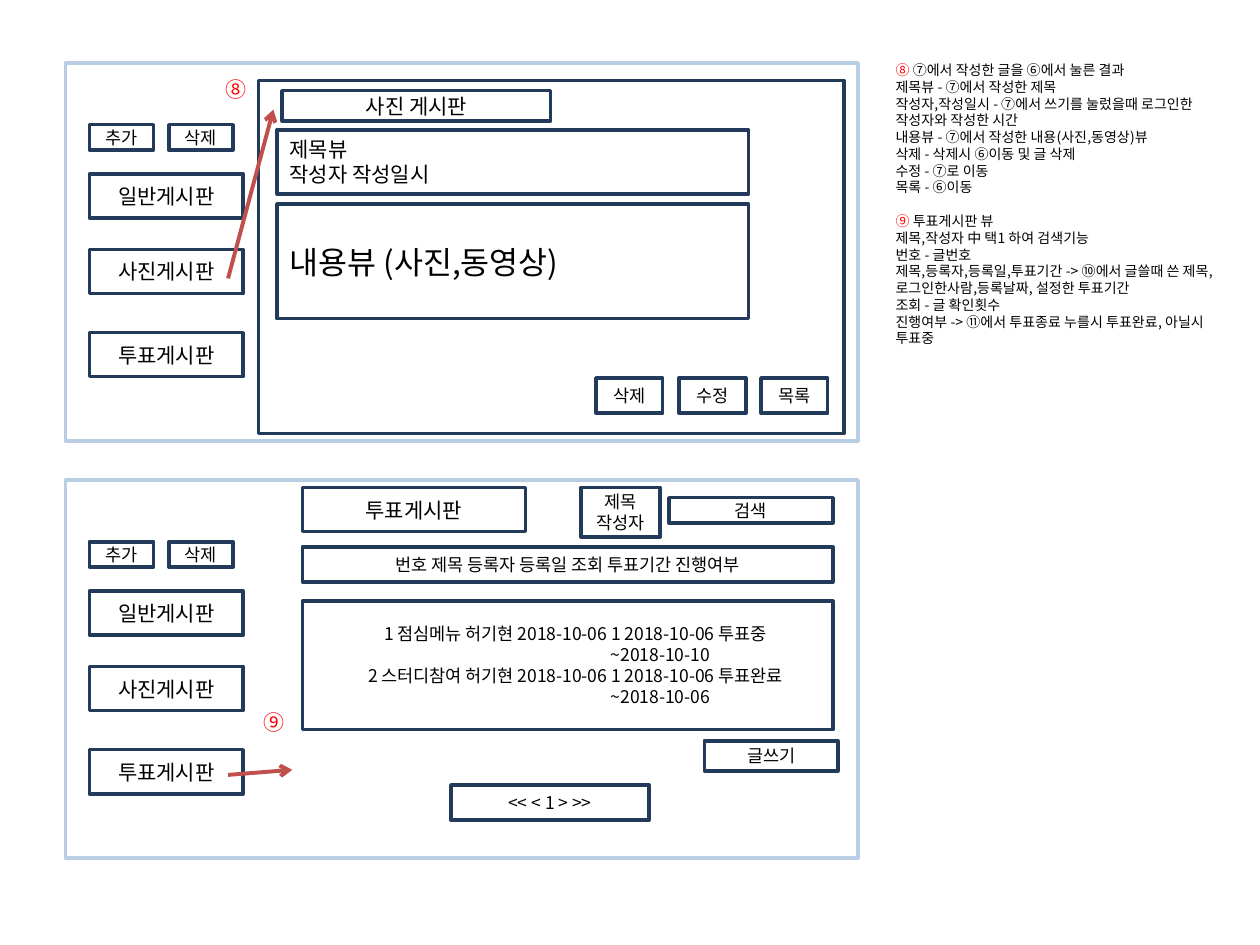
from dataclasses import dataclass

from lxml import etree
from pptx import Presentation
from pptx import util as u
from pptx.dml import color
from pptx.enum import shapes, text
from pptx.oxml import ns

PX = 9144
FONT = "Noto Sans CJK KR"
COLORS = {
    "ink": "000000",
    "mark": "FF0000",
    "navy": "223B5A",
    "panel": "B9CDE5",
    "arrow": "C0504D",
    "white": "FFFFFF",
}
LEFT, CENTER = text.PP_ALIGN.LEFT, text.PP_ALIGN.CENTER


@dataclass
class Line:
    text: str
    mark: str = ""
    indent: int = 0
    gap: float = 0


@dataclass
class Box:
    x: int
    y: int
    w: int
    h: int
    lines: tuple = ()
    size: int = 10
    align: text.PP_ALIGN = CENTER


@dataclass
class Arrow:
    x1: int
    y1: int
    x2: int
    y2: int


def px(n: int) -> u.Emu:
    return u.Emu(n * PX)


def rgb(name: str) -> color.RGBColor:
    return color.RGBColor.from_string(COLORS[name])


def add_run(p, words: str, *, size: int, ink: str = "ink") -> None:
    r = p.add_run()
    r.text = words
    r.font.size = u.Pt(size)
    r.font.name = FONT
    r.font.color.rgb = rgb(ink)
    ea = etree.SubElement(r._r.get_or_add_rPr(), ns.qn("a:ea"))
    ea.set("typeface", FONT)


def write(tf, lines: tuple, *, size: int, align: text.PP_ALIGN = LEFT, ink: str = "ink") -> None:
    tf.word_wrap = True
    for i, item in enumerate(lines):
        line = item if isinstance(item, Line) else Line(item)
        p = tf.paragraphs[0] if i == 0 else tf.add_paragraph()
        p.alignment = align
        if line.indent:
            p._p.get_or_add_pPr().set("marL", str(px(line.indent)))
        if line.gap:
            p.space_before = u.Pt(line.gap)
        if line.mark:
            add_run(p, line.mark, size=size, ink="mark")
        add_run(p, line.text, size=size, ink=ink)


def add_box(s, box: Box, outline: str = "navy", filled: bool = True) -> None:
    sp = s.shapes.add_shape(shapes.MSO_SHAPE.RECTANGLE, px(box.x), px(box.y), px(box.w), px(box.h))
    sp.shadow.inherit = False
    if filled:
        sp.fill.solid()
        sp.fill.fore_color.rgb = rgb("white")
    else:
        sp.fill.background()
    sp.line.color.rgb = rgb(outline)
    sp.line.width = u.Pt(2)
    sp.text_frame.vertical_anchor = text.MSO_ANCHOR.MIDDLE
    write(sp.text_frame, box.lines, size=box.size, align=box.align)


def add_label(s, box: Box, ink: str = "ink") -> None:
    tf = s.shapes.add_textbox(px(box.x), px(box.y), px(box.w), px(box.h)).text_frame
    write(tf, box.lines, size=box.size, align=box.align, ink=ink)
    tf.auto_size = text.MSO_AUTO_SIZE.SHAPE_TO_FIT_TEXT


def add_arrow(s, arrow: Arrow) -> None:
    c = s.shapes.add_connector(
        shapes.MSO_CONNECTOR.STRAIGHT, px(arrow.x1), px(arrow.y1), px(arrow.x2), px(arrow.y2)
    )
    c.line.color.rgb = rgb("arrow")
    c.line.width = u.Pt(2.25)
    etree.SubElement(c.line._get_or_add_ln(), ns.qn("a:tailEnd")).set("type", "arrow")
    etree.SubElement(c._element.spPr, ns.qn("a:effectLst"))


def add_panel(s, top: int) -> None:
    add_box(s, Box(52, top, 629, 300), outline="panel", filled=False)
    for x, name in ((71, "추가"), (134, "삭제")):
        add_box(s, Box(x, top + 49, 51, 20, (name,)))
    for dy, name in ((88, "일반게시판"), (148, "사진게시판"), (214, "투표게시판")):
        add_box(s, Box(71, top + dy, 122, 35, (name,), 12))


PHOTO_VIEW = [
    Box(205, 64, 465, 280),
    Box(220, 103, 374, 51, ("제목뷰", "작성자 작성일시"), 12, LEFT),
    Box(220, 162, 374, 91, ("내용뷰 (사진,동영상)",), 18, LEFT),
    *(Box(x, 300, 53, 28, (name,)) for x, name in ((473, "삭제"), (539, "수정"), (604, "목록"))),
    Box(224, 72, 213, 24, ("사진 게시판",), 12),
]

VOTE_LIST = [
    Box(240, 434, 421, 28, ("번호 제목 등록자 등록일 조회 투표기간 진행여부",)),
    Box(358, 623, 157, 28, ("<< < 1 > >>",)),
    Box(531, 395, 130, 20, ("검색",)),
    Box(559, 588, 106, 24, ("글쓰기",)),
    Box(240, 477, 421, 102, (
        Line("1 점심메뉴 허기현 2018-10-06 1 2018-10-06 투표중", indent=12),
        Line("~2018-10-10", indent=147),
        Line("2 스터디참여 허기현 2018-10-06 1 2018-10-06 투표완료", indent=12),
        Line("~2018-10-06", indent=147),
    )),
    Box(240, 387, 177, 35, ("투표게시판",), 12),
    Box(461, 387, 63, 39, ("제목", "작성자")),
]

ARROWS = [Arrow(181, 221, 217, 87), Arrow(181, 615, 232, 611)]
MARKS = [Box(169, 56, 38, 30, ("⑧",), 12, LEFT), Box(199, 558, 37, 30, ("⑨",), 12, LEFT)]

NOTES = Box(701, 44, 276, 236, (
    Line("⑦에서 작성한 글을 ⑥에서 눌른 결과", mark="⑧ "),
    "제목뷰 - ⑦에서 작성한 제목",
    "작성자,작성일시 - ⑦에서 쓰기를 눌렀을때 로그인한 작성자와 작성한 시간",
    "내용뷰 - ⑦에서 작성한 내용(사진,동영상)뷰",
    "삭제 - 삭제시 ⑥이동 및 글 삭제",
    "수정 - ⑦로 이동",
    "목록 - ⑥이동",
    Line(" 투표게시판 뷰", mark="⑨", gap=9.6),
    "제목,작성자 中 택1 하여 검색기능",
    "번호 - 글번호",
    "제목,등록자,등록일,투표기간 -> ⑩에서 글쓸때 쓴 제목, 로그인한사람,등록날짜, 설정한 투표기간",
    "조회 - 글 확인횟수",
    "진행여부 -> ⑪에서 투표종료 누를시 투표완료, 아닐시 투표중",
), 8, LEFT)


def main() -> None:
    prs = Presentation()
    prs.slide_width, prs.slide_height = px(1000), px(750)
    s = prs.slides.add_slide(prs.slide_layouts[6])
    for top in (50, 381):
        add_panel(s, top)
    for box in PHOTO_VIEW + VOTE_LIST:
        add_box(s, box)
    for arrow in ARROWS:
        add_arrow(s, arrow)
    for mark in MARKS:
        add_label(s, mark, ink="mark")
    add_label(s, NOTES)
    prs.save("out.pptx")


if __name__ == "__main__":
    main()
